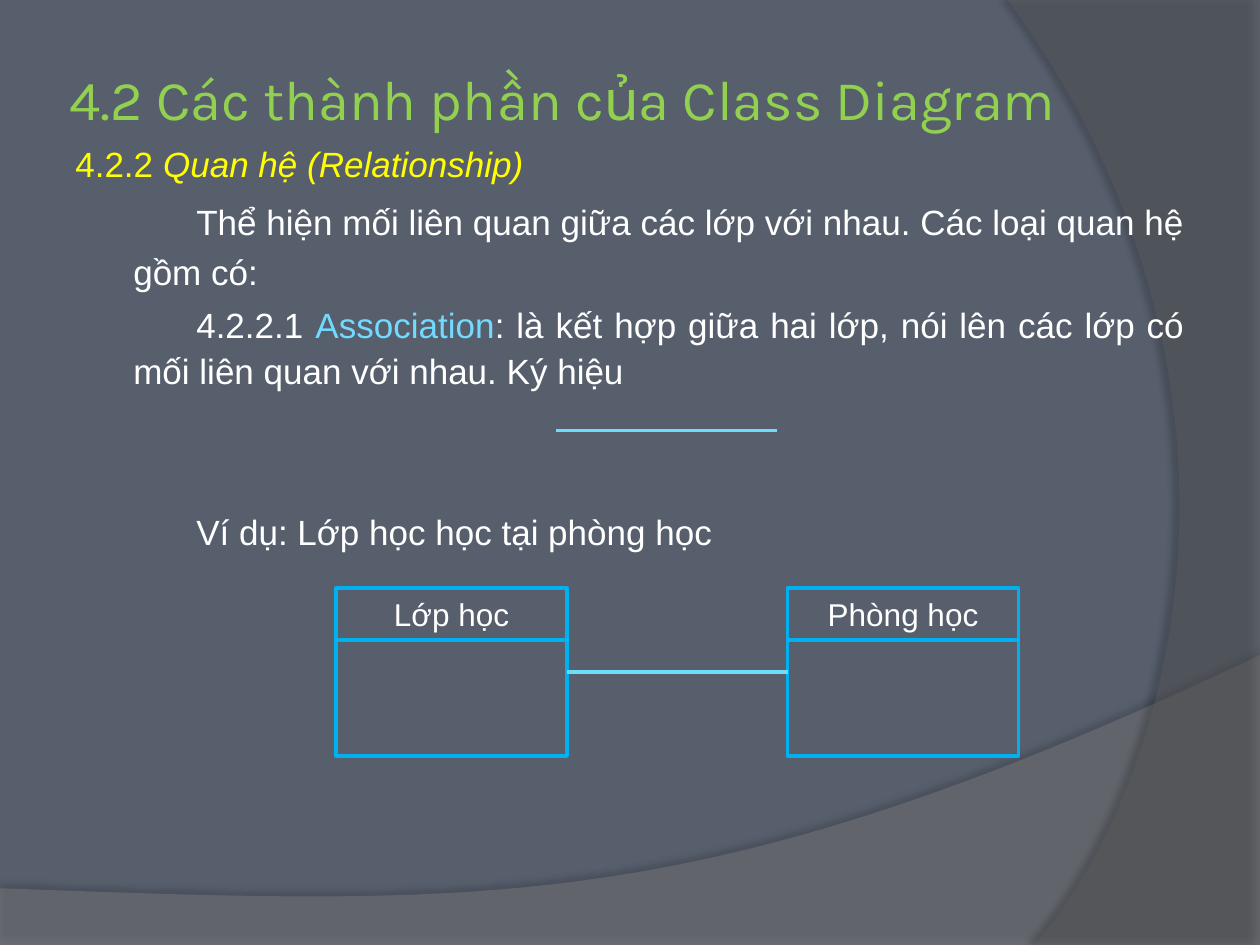
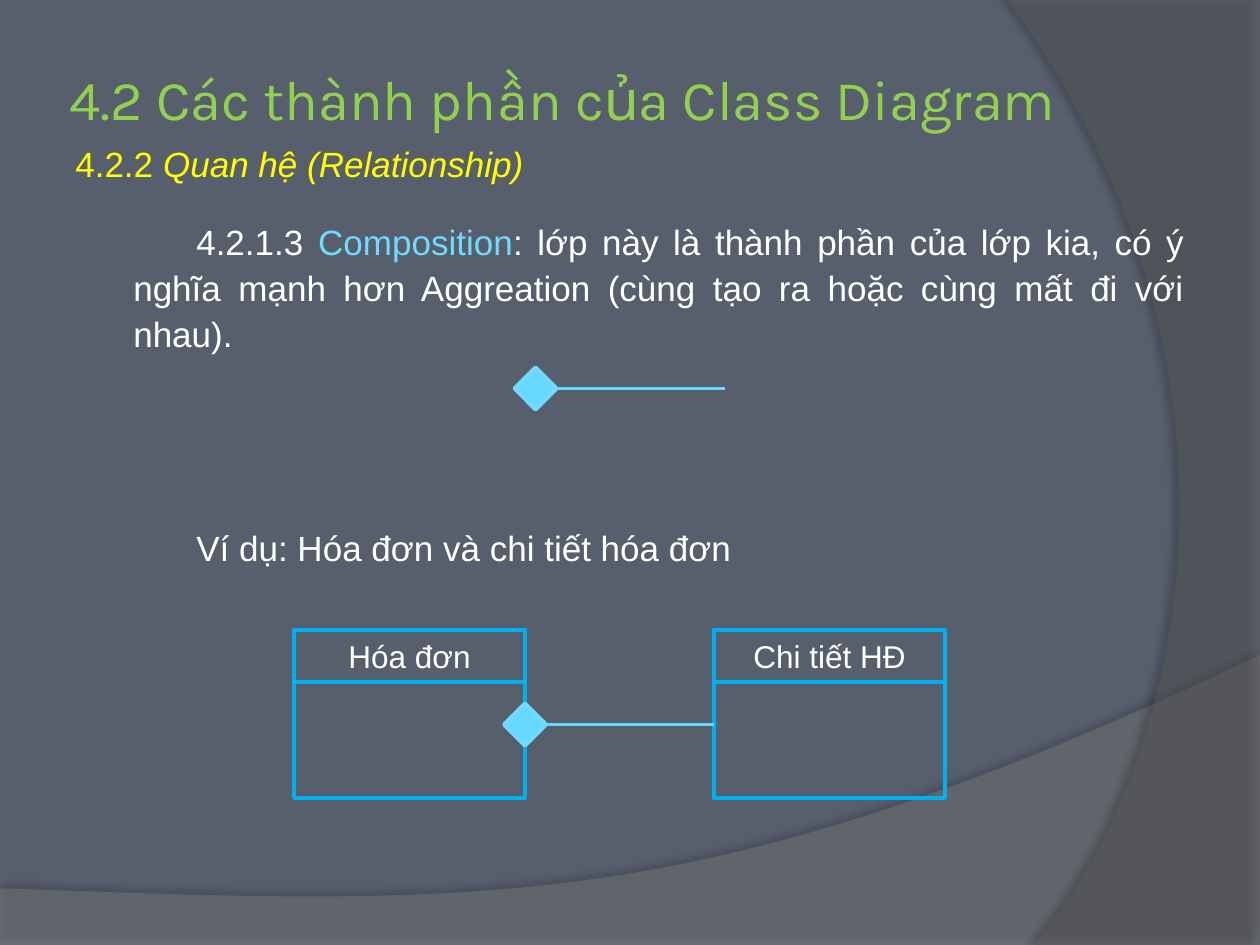
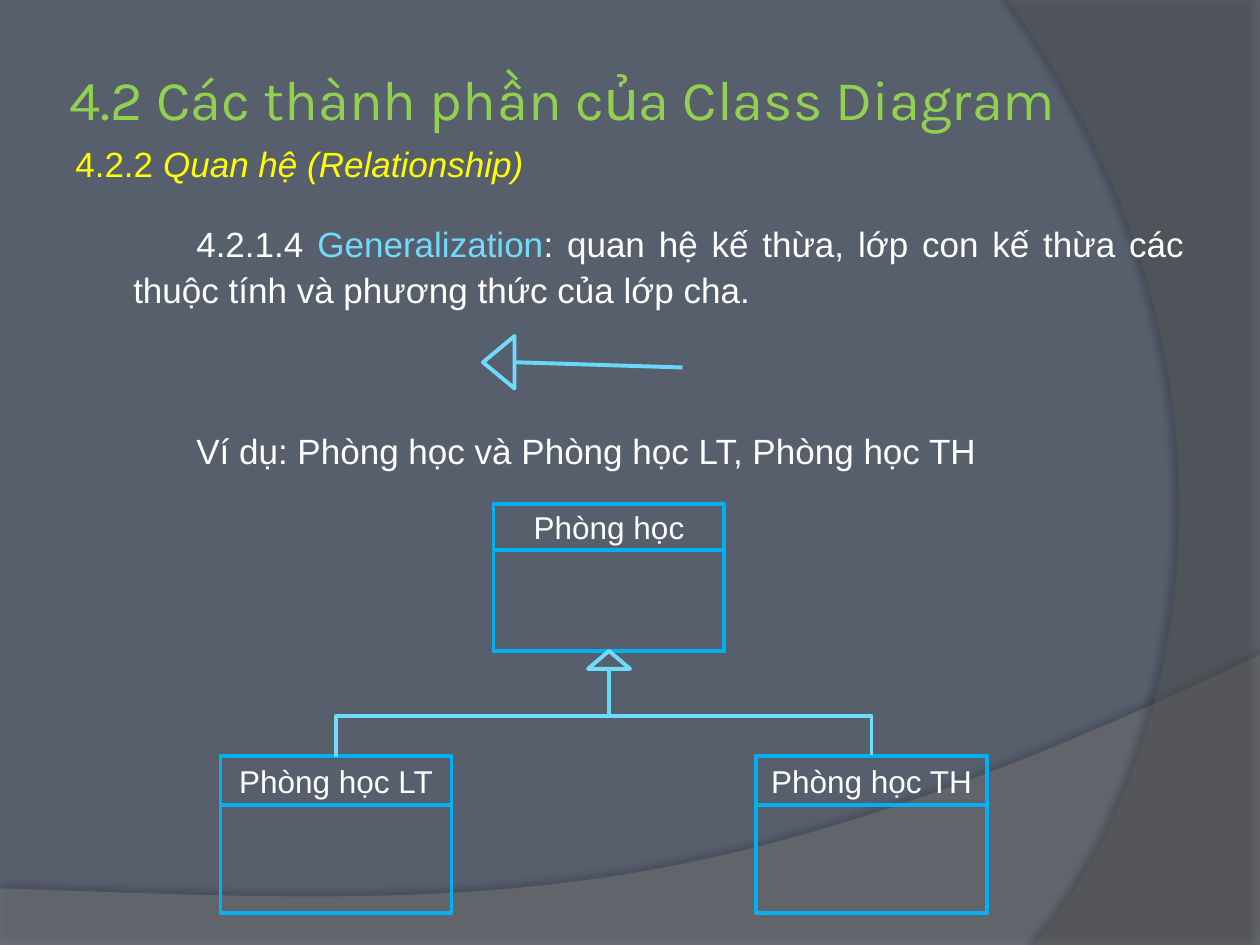
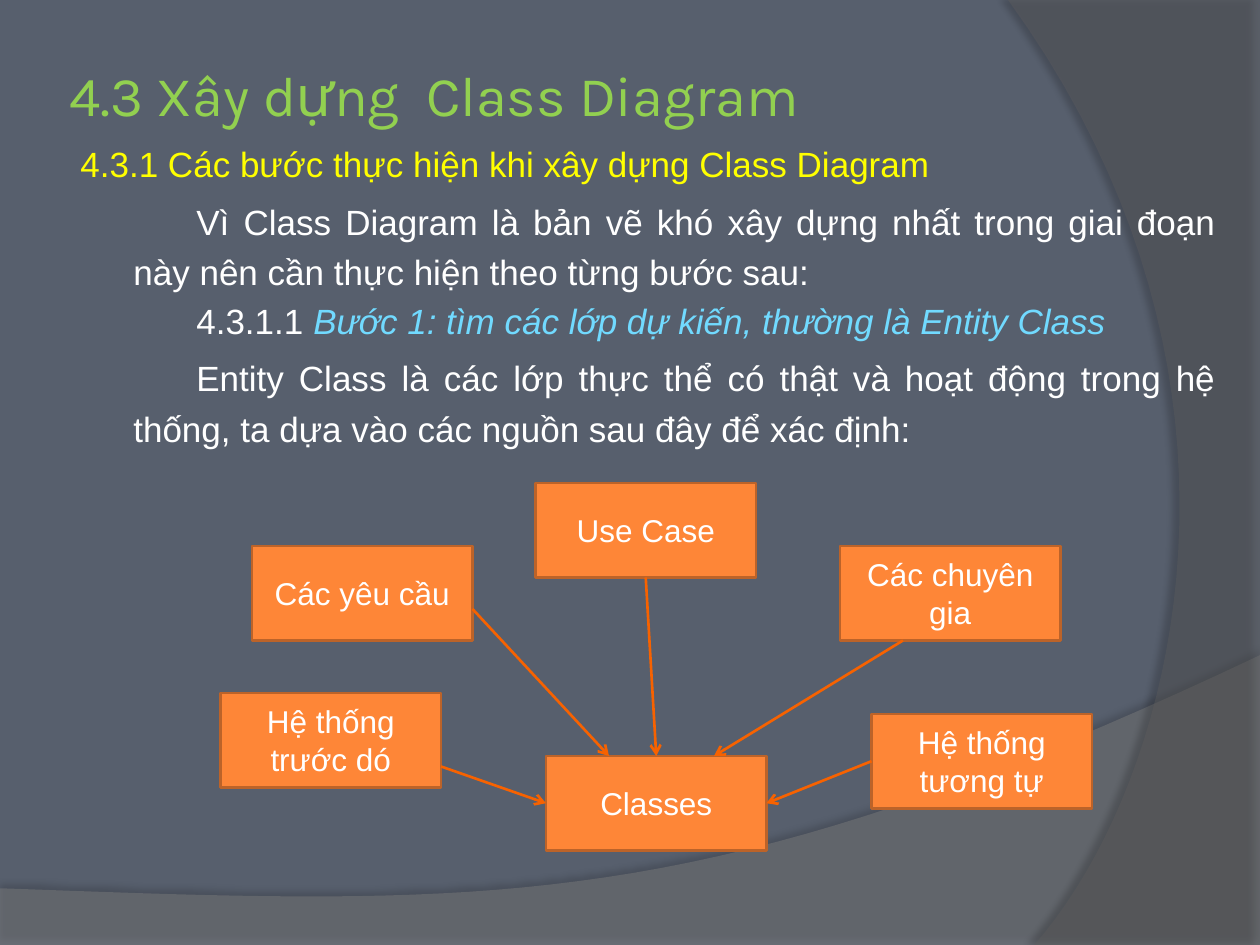
from dataclasses import dataclass
from typing import NamedTuple

from lxml.etree import SubElement
from pptx import Presentation
from pptx.dml.color import RGBColor
from pptx.enum.shapes import MSO_CONNECTOR as CONN, MSO_SHAPE as SHAPE
from pptx.enum.text import MSO_ANCHOR as ANCHOR, PP_ALIGN as ALIGN
from pptx.oxml.ns import qn
from pptx.util import Emu, Inches, Pt


# Theme and grid
@dataclass(frozen=True)
class Theme:
    back: str = "575F6D"
    swoosh: str = "7F7F7F"
    side: str = "5E5E5E"
    shadow: str = "000000"
    title: str = "92D050"
    heading: str = "FFFF00"
    text: str = "FFFFFF"
    term: str = "71DAFF"
    link: str = "69D8FF"
    frame: str = "00B0F0"
    box: str = "FE8637"
    box_edge: str = "BC6329"
    arrow: str = "F76200"
    title_font: str = "Karla"
    font: str = "Arial"
    title_size: int = 32
    body_size: int = 20
    label_size: int = 18
    thick: float = 2.25
    thin: float = 1.5


T = Theme()
COLS, ROWS = 120, 90
HEADER_SHARE = 5 / 16          # name part of a class box
CLASS_W, BOX_W, BOX_H = 22, 21, 9
SKIP = 1.53                    # height of a skipped line per point of its size

prs = Presentation()
prs.slide_width, prs.slide_height = Inches(10), Inches(7.5)


def gx(col: float) -> Emu:
    return Emu(round(prs.slide_width * col / COLS))


def gy(row: float) -> Emu:
    return Emu(round(prs.slide_height * row / ROWS))


def area(x: float, y: float, w: float, h: float) -> tuple:
    return gx(x), gy(y), gx(w), gy(h)


def rgb(color: str) -> RGBColor:
    return RGBColor.from_string(color)


# Descriptions of the repeated elements
class Run(NamedTuple):
    text: str
    color: str = T.text
    italic: bool = False


class Para(NamedTuple):
    runs: list
    spacing: float = 1.1
    skipped: tuple = ()        # sizes of the lines left free above
    left: float = 0.46
    first: float = 0.5
    align: ALIGN = ALIGN.JUSTIFY


class Band(NamedTuple):
    corners: list
    curve: list                # four Bezier points
    color: str
    alpha: int
    shadow: tuple              # alpha %, blur pt, distance pt, direction


class ClassBox(NamedTuple):
    name: str
    x: float
    y: float
    h: float = 16


class Box(NamedTuple):
    name: str
    x: float
    y: float


class Line(NamedTuple):
    x1: float
    y1: float
    x2: float
    y2: float
    color: str = T.link
    width: float = T.thick
    arrow: bool = False


class Sign(NamedTuple):
    kind: SHAPE
    x: float
    y: float
    w: float
    h: float
    fill: str = ""
    turn: int = 0


BANDS = [
    Band([(0, 90), (120, 90)],
         [(120, 62.4), (67.1, 87.5), (46.9, 86.3), (0, 84.6)],
         T.swoosh, 45, (35, 4, 3.5, 270)),
    Band([(120, 0), (120, 90)],
         [(98.5, 90), (112.2, 74.3), (122.2, 36), (96, 0)],
         T.side, 40, (45, 4, 4, 180)),
]


# Drawing functions
def bezier(points: list, steps: int = 40) -> list:
    def at(t: float) -> tuple:
        weights = ((1 - t) ** 3, 3 * t * (1 - t) ** 2, 3 * t * t * (1 - t), t ** 3)
        return tuple(sum(k * p[i] for k, p in zip(weights, points)) for i in (0, 1))
    return [at(n / steps) for n in range(steps + 1)]


def set_alpha(color_el, percent: int) -> None:
    SubElement(color_el, qn("a:alpha")).set("val", str(percent * 1000))


def draw_band(s, band: Band) -> None:
    start, *rest = [(gx(x), gy(y)) for x, y in band.corners + bezier(band.curve)]
    builder = s.shapes.build_freeform(*start)
    builder.add_line_segments(rest, close=True)
    sp = builder.convert_to_shape()
    paint(sp, band.color)
    set_alpha(sp.fill._xPr.find(".//" + qn("a:srgbClr")), band.alpha)
    alpha, blur, dist, direction = band.shadow
    effects = sp._element.spPr.find(qn("a:effectLst"))
    shadow = SubElement(effects, qn("a:outerShdw"))
    values = dict(blurRad=Pt(blur), dist=Pt(dist), dir=direction * 60000,
                  algn="ctr", rotWithShape=0)
    for key, value in values.items():
        shadow.set(key, str(value))
    color = SubElement(shadow, qn("a:srgbClr"))
    color.set("val", T.shadow)
    set_alpha(color, alpha)


def paint(sp, fill: str = "", line: str = "", width: float = T.thick) -> None:
    sp.shadow.inherit = False
    for part, color in ((sp.fill, fill), (sp.line.fill, line)):
        if color:
            part.solid()
            part.fore_color.rgb = rgb(color)
        else:
            part.background()
    if line:
        sp.line.width = Pt(width)


def add_run(p, run: Run, size: int, font: str = T.font) -> None:
    r = p.add_run()
    r.text = run.text
    for key, value in dict(name=font, size=Pt(size), italic=run.italic).items():
        setattr(r.font, key, value)
    r.font.color.rgb = rgb(run.color)


def draw_title(s, text: str, place: tuple) -> None:
    tf = s.shapes.add_textbox(*area(*place)).text_frame
    pad = Inches(0.05)
    values = dict(word_wrap=True, vertical_anchor=ANCHOR.MIDDLE, margin_left=pad,
                  margin_right=pad, margin_top=pad, margin_bottom=pad)
    for key, value in values.items():
        setattr(tf, key, value)
    add_run(tf.paragraphs[0], Run(text, T.title), T.title_size, T.title_font)


def draw_body(s, paras: list, width: float) -> None:
    tf = s.shapes.add_textbox(*area(6, 13, width, 75)).text_frame
    tf.word_wrap = True
    for n, para in enumerate(paras):
        p = tf.add_paragraph() if n else tf.paragraphs[0]
        before = 0.2 * T.body_size + SKIP * sum(para.skipped)
        values = dict(alignment=para.align, line_spacing=para.spacing,
                      space_before=Pt(before))
        for key, value in values.items():
            setattr(p, key, value)
        pPr = p._p.get_or_add_pPr()
        pPr.set("marL", str(Inches(para.left)))
        pPr.set("indent", str(Inches(para.first)))
        for run in para.runs:
            add_run(p, run, T.body_size)


def draw_rect(s, place: tuple, label: str = "", **look):
    sp = s.shapes.add_shape(SHAPE.RECTANGLE, *area(*place))
    paint(sp, **look)
    if label:
        tf = sp.text_frame
        tf.word_wrap, tf.vertical_anchor = True, ANCHOR.MIDDLE
        tf.paragraphs[0].alignment = ALIGN.CENTER
        add_run(tf.paragraphs[0], Run(label), T.label_size)


def draw_class(s, c: ClassBox) -> None:
    head = c.h * HEADER_SHARE
    draw_rect(s, (c.x, c.y, CLASS_W, head), c.name, line=T.frame)
    draw_rect(s, (c.x, c.y + head, CLASS_W, c.h - head), line=T.frame)


def draw_box(s, b: Box) -> None:
    draw_rect(s, (b.x, b.y, BOX_W, BOX_H), b.name,
              fill=T.box, line=T.box_edge, width=T.thin)


def draw_sign(s, sign: Sign) -> None:
    sp = s.shapes.add_shape(sign.kind, *area(sign.x, sign.y, sign.w, sign.h))
    sp.rotation = sign.turn
    paint(sp, sign.fill, T.term)


def draw_line(s, ln: Line, kind: CONN = CONN.STRAIGHT):
    c = s.shapes.add_connector(kind, gx(ln.x1), gy(ln.y1), gx(ln.x2), gy(ln.y2))
    c.line.color.rgb = rgb(ln.color)
    c.line.width = Pt(ln.width)
    if ln.arrow:
        SubElement(c.line._get_or_add_ln(), qn("a:tailEnd")).set("type", "arrow")
    SubElement(c._element.spPr, qn("a:effectLst"))
    return c


def draw_fork(s, x1: float, x2: float, y: float, rise: float) -> None:
    """Elbow that leaves x1 upwards and comes down at x2: a turned connector."""
    mid, half, thin = (x1 + x2) / 2, (x2 - x1) / 2, 1 / 12
    c = draw_line(s, Line(mid + thin, y + half, mid - thin, y - half, T.term), CONN.ELBOW)
    spPr = c._element.spPr
    spPr.find(qn("a:xfrm")).set("rot", str(90 * 60000))
    geom = spPr.find(qn("a:prstGeom"))
    guides = geom.find(qn("a:avLst"))
    if guides is None:
        guides = SubElement(geom, qn("a:avLst"))
    guide = SubElement(guides, qn("a:gd"))
    guide.set("name", "adj1")
    guide.set("fmla", f"val {round(rise / (2 * thin) * 100000)}")


DRAW = {ClassBox: draw_class, Box: draw_box, Line: draw_line, Sign: draw_sign}


def new_slide(title: str, paras: list, items: list,
              title_place: tuple = (6, 3.6, 111, 11.4), body_width: float = 108):
    s = prs.slides.add_slide(prs.slide_layouts[6])
    s.background.fill.solid()
    s.background.fill.fore_color.rgb = rgb(T.back)
    for band in BANDS:
        draw_band(s, band)
    draw_title(s, title, title_place)
    draw_body(s, paras, body_width)
    for item in items:
        DRAW[type(item)](s, item)
    return s


# Shared wording
PARTS = "4.2 Các thành phần của Class Diagram"
RELATION = Para([Run("4.2.2 ", T.heading), Run("Quan hệ (Relationship) ", T.heading, True)],
                spacing=1, left=0, first=0)


def definition(number: str, term: str, meaning: str, skipped: tuple = ()) -> Para:
    return Para([Run(number + " "), Run(term, T.term), Run(": " + meaning)], skipped=skipped)


def example(text: str, free_lines: int) -> Para:
    return Para([Run("Ví dụ: " + text)], skipped=(T.body_size,) * free_lines)


def diamond(x: float, y: float) -> Sign:
    return Sign(SHAPE.DIAMOND, x, y, 4, 4, T.link)


# Slide 1: association
new_slide(PARTS, [
    RELATION,
    Para([Run("Thể hiện mối liên quan giữa các lớp với nhau. Các loại quan hệ gồm có:")], 1.2),
    definition("4.2.2.1", "Association",
               "là kết hợp giữa hai lớp, nói lên các lớp có mối liên quan với nhau. Ký hiệu "),
    example("Lớp học học tại phòng học", 2),
], [
    Line(53, 41, 74, 41, T.term),
    ClassBox("Lớp học", 32, 56),
    ClassBox("Phòng học", 75, 56),
    Line(54, 64, 75, 64, T.term),
])

# Slide 2: composition
new_slide(PARTS, [
    RELATION,
    definition("4.2.1.3", "Composition",
               "lớp này là thành phần của lớp kia, có ý nghĩa mạnh hơn Aggreation "
               "(cùng tạo ra hoặc cùng mất đi với nhau).", (9,)),
    example("Hóa đơn và chi tiết hóa đơn", 3),
], [
    diamond(49, 35),
    Line(53, 37, 69, 37),
    ClassBox("Hóa đơn", 28, 60),
    ClassBox("Chi tiết HĐ", 68, 60),
    diamond(48, 67),
    Line(52, 69, 68, 69),
])

# Slide 3: generalization
s = new_slide(PARTS, [
    RELATION,
    definition("4.2.1.4", "Generalization",
               "quan hệ kế thừa, lớp con kế thừa các thuộc tính và phương thức của lớp cha.",
               (10,)),
    example("Phòng học và Phòng học LT, Phòng học TH", 2),
], [
    Sign(SHAPE.ISOSCELES_TRIANGLE, 45, 33, 5, 3, turn=270),
    Line(49, 34.5, 65, 35),
    ClassBox("Phòng học LT", 21, 72, 15),
    ClassBox("Phòng học", 47, 48, 14),
    ClassBox("Phòng học TH", 72, 72, 15),
    Sign(SHAPE.ISOSCELES_TRIANGLE, 56, 62, 4, 1.7),
    Line(58, 63.7, 58, 68),
])
draw_fork(s, 32, 83, 72, 3.94)

# Slide 4: sources of the classes
ARROWS = [(61.5, 55, 62.5, 72), (45, 58, 58, 72), (86, 61, 68, 72),
          (42, 73, 52, 76.5), (83, 72.5, 73, 76.5)]
new_slide("4.3 Xây dựng  Class Diagram", [
    Para([Run("4.3.1 Các bước thực hiện khi xây dựng Class Diagram", T.heading)],
         spacing=1, first=-0.42, align=ALIGN.LEFT),
    Para([Run("Vì Class Diagram là bản vẽ khó xây dựng nhất trong giai đoạn này "
              "nên cần thực hiện theo từng bước sau: ")], 1.2),
    Para([Run("4.3.1.1 "),
          Run("Bước 1: tìm các lớp dự kiến, thường là Entity Class ", T.term, True)], 1),
    Para([Run("Entity Class là các lớp thực thể có thật và hoạt động trong hệ thống, "
              "ta dựa vào các nguồn sau đây để xác định:")], 1.2),
], [
    Box("Các yêu cầu", 24, 52),
    Box("Use Case", 51, 46),
    Box("Các chuyên gia", 80, 52),
    Box("Hệ thống tương tự", 83, 68),
    Box("Hệ thống trước dó", 21, 66),
    Box("Classes", 52, 72),
    *(Line(*ends, T.arrow, T.thin, True) for ends in ARROWS),
], title_place=(6, 4, 109, 10), body_width=111)

prs.save("out.pptx")
